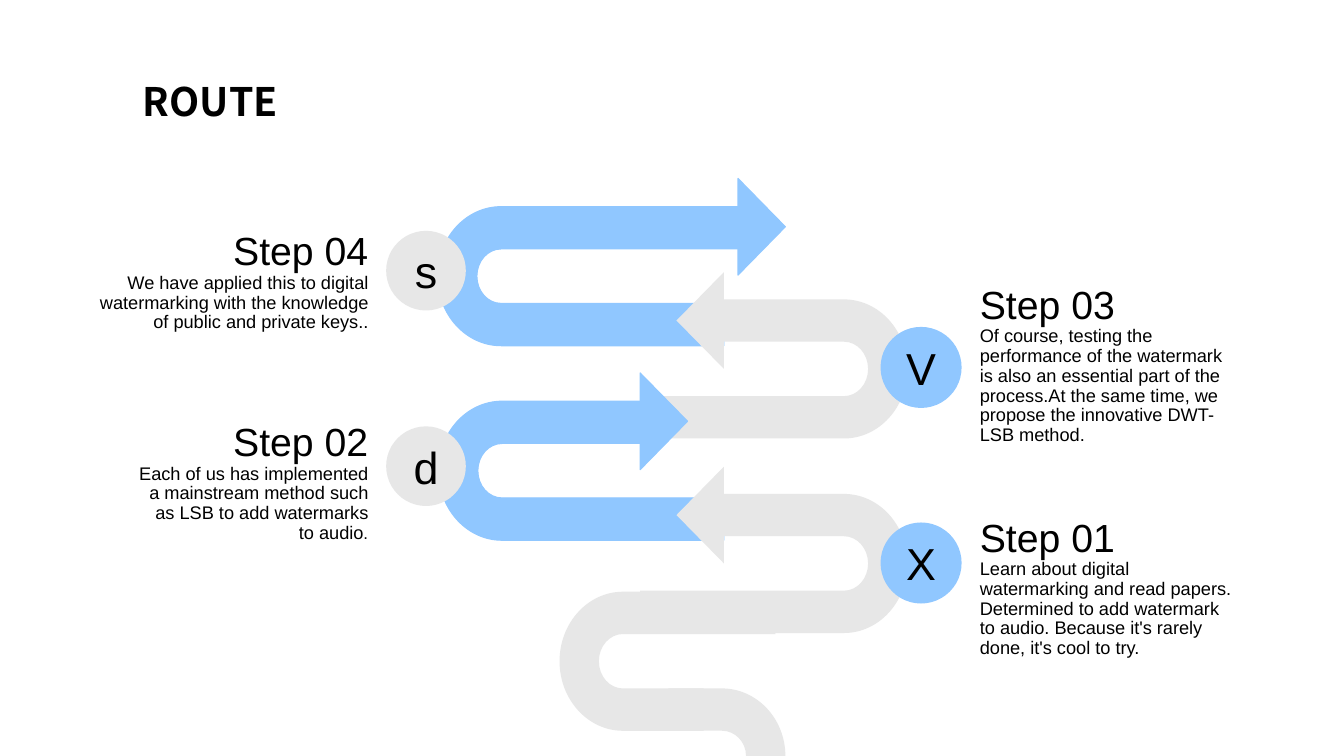
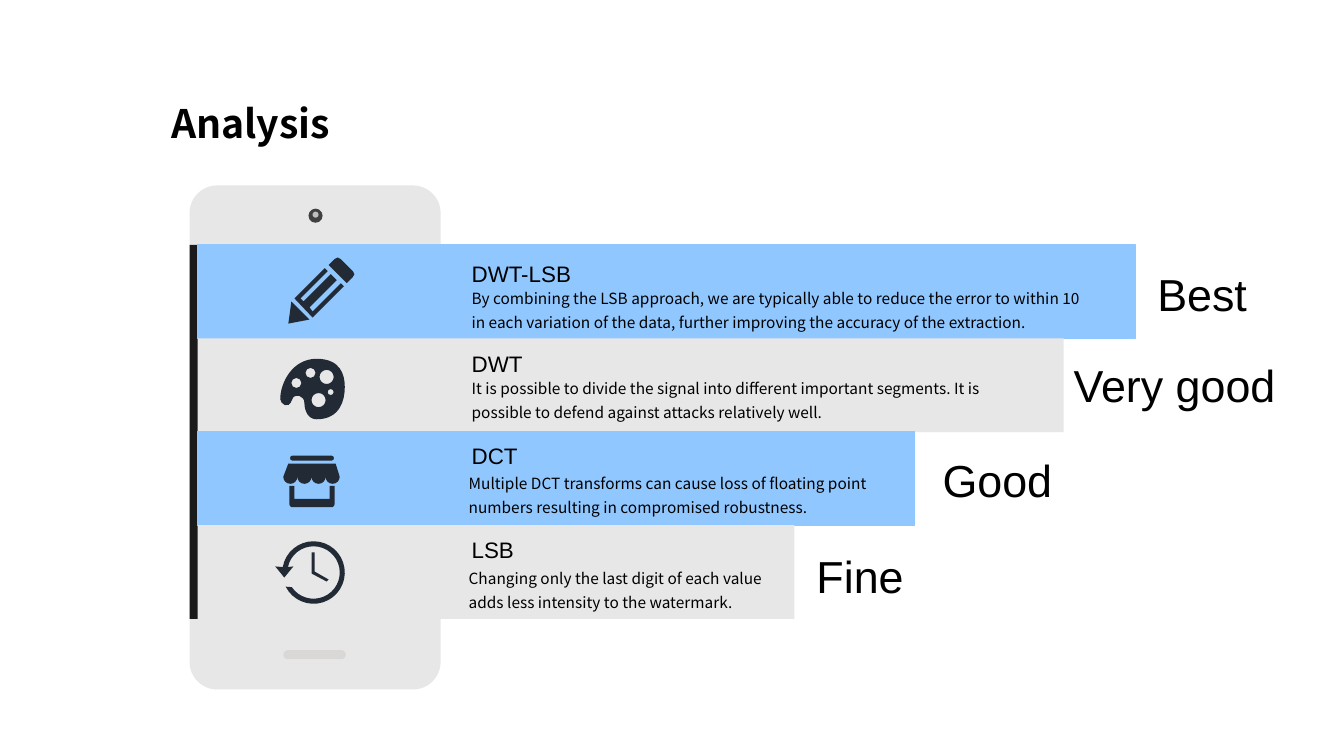
"""Builds a route slide and an analysis slide."""
from math import ceil, cos, radians, sin, tan

from pptx import Presentation
from pptx.dml.color import RGBColor
from pptx.enum.shapes import MSO_SHAPE
from pptx.enum.text import MSO_ANCHOR, PP_ALIGN
from pptx.oxml.ns import qn
from pptx.util import Inches, Pt

OVAL, RECT, ROUND = MSO_SHAPE.OVAL, MSO_SHAPE.RECTANGLE, MSO_SHAPE.ROUNDED_RECTANGLE
LEFT, CENTER, RIGHT = PP_ALIGN.LEFT, PP_ALIGN.CENTER, PP_ALIGN.RIGHT
TOP, MIDDLE = MSO_ANCHOR.TOP, MSO_ANCHOR.MIDDLE

WIDTH, HEIGHT = 13.33, 7.5
SANS, NOTO = "Arial", "Noto Sans CJK SC"
BLUE, GREY, BLACK, INK = "90C7FF", "E7E7E7", "000000", "222A35"

OUTER, INNER = (0.63, 0.69), (0.24, 0.27)
HEAD_HALF = 0.48
BADGE = 0.79

# side, bend centre x and y, upper arm end, lower arm end, colour
BENDS = [
    (-1, 4.97, 2.74, 7.46, 7.18, BLUE),
    (1, 8.37, 3.66, 7.04, 6.35, GREY),
    (-1, 4.98, 4.67, 6.49, 7.18, BLUE),
    (1, 8.37, 5.59, 7.04, 6.35, GREY),
    (-1, 6.18, 6.56, 7.69, 6.98, GREY),
]
# base x, tip x, centre y
HEADS = [(7.32, 7.79, 2.25), (7.18, 6.71, 3.18), (6.35, 6.82, 4.18), (7.18, 6.71, 5.11), None]
TAIL_START, TAIL_BEND = 6.63, 7.16

# badge, badge left and top, colour, text box, alignment, heading, body spans
STEPS = [
    ("s", 3.83, 2.29, GREY, (0.73, 2.2, 3.02, 1.16), RIGHT, "Step 04",
     [("We have applied this to digital watermarking with the knowledge of public and "
       "private keys..", 13)]),
    ("d", 3.83, 4.23, GREY, (1.25, 4.09, 2.5, 1.36), RIGHT, "Step 02",
     [("Each of us has implemented a mainstream method such as LSB to add watermarks to audio",
       13), (".", 12)]),
    ("V", 8.74, 3.25, BLUE, (9.62, 2.73, 2.73, 1.75), LEFT, "Step 03",
     [("Of course, testing the performance of the watermark is also an essential part of the "
       "process.At the same time, we propose the innovative DWT-LSB method.", 13)]),
    ("X", 8.74, 5.19, BLUE, (9.62, 5.04, 2.73, 1.56), LEFT, "Step 01",
     [("Learn about digital watermarking and read papers. Determined to add watermark to audio. "
       "Because it's rarely done, it's cool to try.", 13)]),
]

BAND_LEFT, BAND_TOP, LAST_BAND_TOP, BAND_HEIGHT = 1.96, 2.43, 5.21, 0.93
# band width, colour, method, heading top, body box, body, rating, rating left and top
METHODS = [
    (9.3, BLUE, "DWT-LSB", 2.53, (4.58, 2.76, 6.4, 0.56),
     "By combining the LSB approach, we are typically able to reduce the error to within 10 "
     "in each variation of the data, further improving the accuracy of the extraction.",
     "Best", 11.38, 2.6),
    (8.59, GREY, "DWT", 3.42, (4.58, 3.66, 5.55, 0.56),
     "It is possible to divide the signal into different important segments. "
     "It is possible to defend against attacks relatively well.", "Very good", 10.55, 3.5),
    (7.11, BLUE, "DCT", 4.34, (4.55, 4.6, 4.73, 0.56),
     "Multiple DCT transforms can cause loss of floating point numbers resulting in "
     "compromised robustness.", "Good", 9.25, 4.44),
    (5.92, GREY, "LSB", 5.27, (4.55, 5.54, 3.34, 0.56),
     "Changing only the last digit of each value adds less intensity to the watermark.",
     "Fine", 8, 5.39),
]

PENCIL = [
    [(2.89, 2.99), (2.86, 3.21), (3.07, 3.17)],
    [(3.1, 3.09), (3.07, 3.05), (3.34, 2.78), (3.28, 2.72), (3.01, 2.99), (2.98, 2.96),
     (3.25, 2.69), (3.22, 2.66), (2.92, 2.96), (3.1, 3.15), (3.41, 2.84), (3.38, 2.81)],
    [(3.26, 2.63), (3.32, 2.57), (3.34, 2.55, 3.36, 2.55, 3.38, 2.57), (3.5, 2.69),
     (3.52, 2.71, 3.52, 2.73, 3.5, 2.75), (3.44, 2.81)],
]
PALETTE = [
    (3.14, 3.56), (2.9, 3.56, 2.78, 3.8, 2.78, 3.96), (2.78, 4, 2.86, 4.08, 2.9, 3.96),
    (2.92, 3.9, 3.02, 3.92, 3.02, 4), (3.02, 4.08, 3.06, 4.16, 3.14, 4.16),
    (3.38, 4.16, 3.42, 3.96, 3.42, 3.84), (3.42, 3.72, 3.38, 3.56, 3.14, 3.56),
]
PAINTS = [(2.94, 3.8, 0.05), (3.08, 3.7, 0.05), (3.16, 3.97, 0.07), (3.28, 3.89, 0.03),
          (3.24, 3.74, 0.07)]
AWNING = [(2.86, 4.6), (3.33, 4.6), (3.37, 4.73)]
SCALLOPS = [3.3, 3.16, 3.02, 2.88]
ROOF = [(2.9, 4.57), (2.87, 4.57, 2.87, 4.52, 2.9, 4.52), (3.29, 4.52),
        (3.32, 4.52, 3.32, 4.57, 3.29, 4.57)]
COUNTER = [(2.87, 4.82), (2.92, 4.82), (2.92, 4.95), (3.27, 4.95), (3.27, 4.82),
           (3.32, 4.82), (3.32, 5), (3.32, 5.01, 3.31, 5.03, 3.3, 5.03), (2.89, 5.03),
           (2.88, 5.03, 2.87, 5.01, 2.87, 5)]
CLOCK = (3.11, 5.68)
CLOCK_ARROW = [(2.91, 5.62), (2.82, 5.73), (2.73, 5.62)]
CLOCK_HANDS = [(3.09, 5.48), (3.09, 5.69), (3.24, 5.77), (3.26, 5.75), (3.12, 5.67), (3.12, 5.48)]


def rgb(color):
    return RGBColor.from_string(color)


def paint(shape, color, line=0):
    shape.shadow.inherit = False
    shape.fill.solid()
    shape.fill.fore_color.rgb = rgb(color)
    if line:
        shape.line.color.rgb = rgb(color)
        shape.line.width = Pt(line)
    else:
        shape.line.fill.background()
    return shape


def add_preset(page, kind, place, color, line=0, corner=None):
    shape = page.shapes.add_shape(kind, *map(Inches, place))
    if corner is not None:
        shape.adjustments[0] = corner
    return paint(shape, color, line)


def arc(x, y, radius_x, radius_y, start, end):
    """Returns a start point and the cubic curves of an elliptical arc."""
    count = ceil(abs(end - start) / 90)
    turn = radians(end - start) / count
    pull = 4 / 3 * tan(turn / 4)

    def spot(angle, bend):
        return (x + radius_x * (cos(angle) - bend * sin(angle)),
                y + radius_y * (sin(angle) + bend * cos(angle)))

    angles = [radians(start) + step * turn for step in range(count + 1)]
    return [spot(angles[0], 0)] + [spot(first, pull) + spot(last, -pull) + spot(last, 0)
                                   for first, last in zip(angles, angles[1:])]


def add_outline(page, contours, color, line=0):
    """Draws contours whose parts are points or cubic curves of three points."""
    builder = None
    for contour in contours:
        points = [(Inches(part[index]), Inches(part[index + 1]))
                  for part in contour for index in range(0, len(part), 2)]
        if builder is None:
            builder = page.shapes.build_freeform(*points[0])
        else:
            builder.move_to(*points[0])
        builder.add_line_segments(points[1:], close=True)
    shape = builder.convert_to_shape()
    segments = iter(list(shape._element.iter(qn("a:lnTo"))))
    for part in (part for contour in contours for part in contour[1:]):
        segment = next(segments)
        if len(part) == 6:
            curve = segment.makeelement(qn("a:cubicBezTo"))
            segment.addprevious(curve)
            for piece in (segment, next(segments), next(segments)):
                curve.append(piece[0])
                piece.getparent().remove(piece)
    return paint(shape, color, line)


def write(shape, rows, align=LEFT, anchor=TOP):
    """Fills a shape with rows of spans, font, bold and line spacing."""
    frame = shape.text_frame
    frame.word_wrap = True
    frame.vertical_anchor = anchor
    for index, (spans, font, bold, spacing) in enumerate(rows):
        para = frame.add_paragraph() if index else frame.paragraphs[0]
        para.alignment = align
        para.line_spacing = spacing
        for text, size in spans:
            span = para.add_run()
            span.text = text
            span.font.size = Pt(size)
            span.font.name = font
            span.font.bold = bold
            span.font.color.rgb = rgb(BLACK)


def add_text(page, place, rows, align=LEFT, anchor=TOP):
    write(page.shapes.add_textbox(*map(Inches, place)), rows, align, anchor)


def add_page(deck, title, left, top):
    page = deck.slides.add_slide(deck.slide_layouts[6])
    add_text(page, (left, top, 3.3, 0.58), [([(title, 28)], NOTO, True, 1.1)], anchor=MIDDLE)
    return page


def outline_width(color, width):
    return width if color == BLUE else 0


def add_bend(page, side, x, y, upper, lower, color):
    outside = arc(x, y, side * OUTER[0], OUTER[1], -90, 90)
    inside = arc(x, y, side * INNER[0], INNER[1], 90, -90)
    contour = ([(upper, y - OUTER[1])] + outside + [(lower, y + OUTER[1]), (lower, y + INNER[1])]
               + inside + [(upper, y - INNER[1])])
    add_outline(page, [contour], color, outline_width(color, 0.75))


def build_route(deck):
    page = add_page(deck, "ROUTE", 1.32, 0.69)
    for bend, head in zip(BENDS, HEADS):
        add_bend(page, *bend)
        if head:
            base, tip, y = head
            contour = [(base, y - HEAD_HALF), (tip, y), (base, y + HEAD_HALF)]
            add_outline(page, [contour], bend[-1], outline_width(bend[-1], 0.75))
    tail = ([(TAIL_START, 6.83)] + arc(TAIL_BEND, HEIGHT, OUTER[0], 0.67, -90, 0)
            + arc(TAIL_BEND, HEIGHT, INNER[0], 0.25, 0, -90) + [(TAIL_START, 7.25)])
    add_outline(page, [tail], GREY)
    for badge, left, top, color, place, align, heading, body in STEPS:
        circle = add_preset(page, OVAL, (left, top, BADGE, BADGE), color, outline_width(color, 1))
        write(circle, [([(badge, 32)], SANS, False, 1)], CENTER, MIDDLE)
        add_text(page, place, [([(heading, 28)], SANS, False, 1), (body, SANS, False, 0.9)], align)


def add_icons(page):
    for contour in PENCIL:
        add_outline(page, [contour], INK)
    holes = [arc(x, y, radius, radius, 0, 360) for x, y, radius in PAINTS]
    add_outline(page, [PALETTE] + holes, INK)
    scallops = [part for x in SCALLOPS for part in arc(x, 4.73, 0.07, 0.07, 0, 180)]
    add_outline(page, [AWNING + scallops, ROOF, COUNTER], INK)
    ring = arc(*CLOCK, 0.31, 0.31, 190, 513) + arc(*CLOCK, 0.26, 0.26, 506, 192)
    add_outline(page, [ring + CLOCK_ARROW, CLOCK_HANDS], INK)


def build_analysis(deck):
    page = add_page(deck, "Analysis", 1.6, 0.91)
    add_preset(page, ROUND, (1.88, 1.84, 2.49, 5), GREY, corner=0.11)
    add_preset(page, RECT, (1.88, 2.43, 2.49, 3.71), "1A1A1A")
    add_preset(page, ROUND, (2.81, 6.45, 0.62, 0.09), "D9D8D7", corner=0.5)
    add_preset(page, OVAL, (3.06, 2.07, 0.14, 0.14), "404040")
    add_preset(page, OVAL, (3.1, 2.1, 0.06, 0.06), "BFBFBF")
    pitch = (LAST_BAND_TOP - BAND_TOP) / (len(METHODS) - 1)
    for row, (width, color, *_) in enumerate(METHODS):
        place = (BAND_LEFT, BAND_TOP + row * pitch, width, BAND_HEIGHT)
        add_preset(page, RECT, place, color, outline_width(color, 1))
    add_icons(page)
    for _, _, method, top, place, body, rating, left, rating_top in METHODS:
        add_text(page, (4.58, top, 2, 0.37), [([(method, 16)], SANS, False, 1)])
        add_text(page, place, [([(body, 11)], NOTO, False, 1.3)])
        add_text(page, (left, rating_top, min(2.4, WIDTH - left), 0.64),
                 [([(rating, 32)], SANS, False, 1)])


def main():
    deck = Presentation()
    deck.slide_width, deck.slide_height = Inches(WIDTH), Inches(HEIGHT)
    build_route(deck)
    build_analysis(deck)
    deck.save("out.pptx")


if __name__ == "__main__":
    main()
